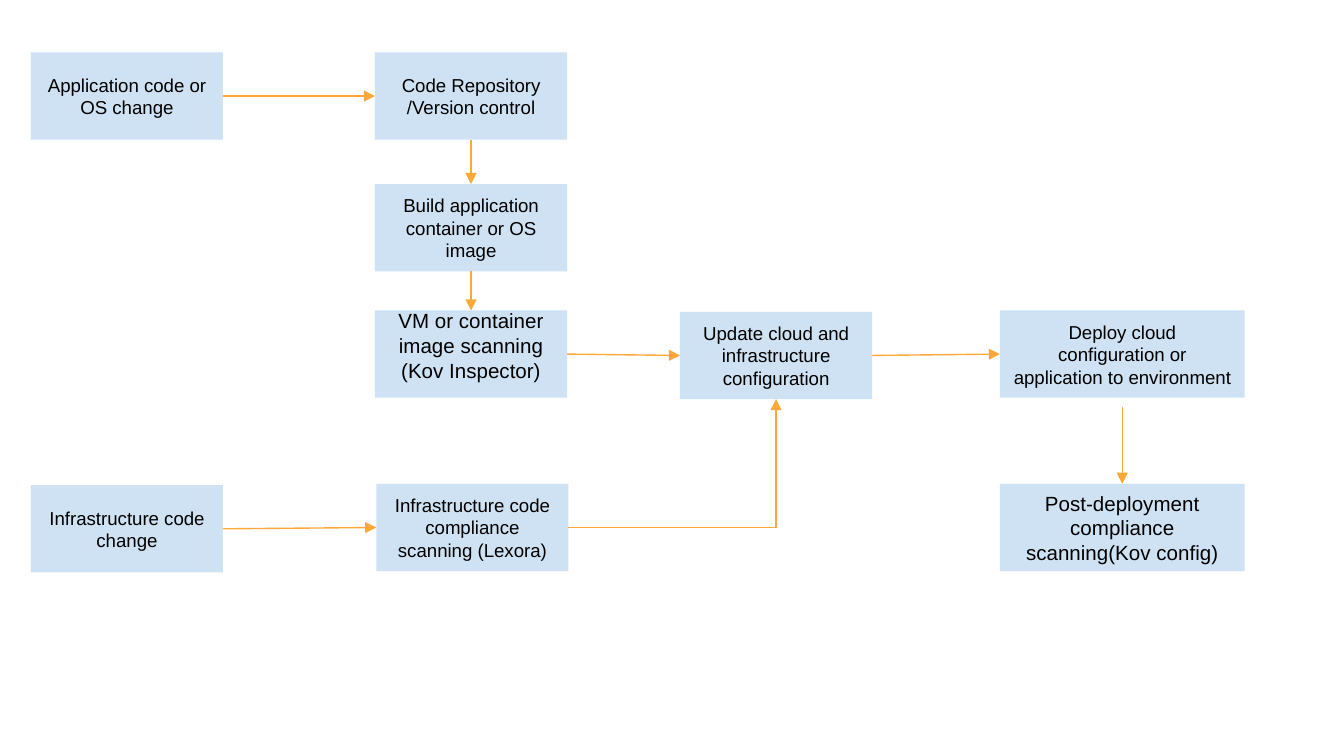
import pptx
import pptx.util
import pptx.dml.color
import pptx.enum.shapes
import pptx.enum.text
import pptx.oxml
import pptx.oxml.ns
from lxml import etree

Inches = pptx.util.Inches
Pt = pptx.util.Pt
CONNECTOR = pptx.enum.shapes.MSO_CONNECTOR


def color(value):
    return pptx.dml.color.RGBColor.from_string(value)


def add_arrow(kind, x1, y1, x2, y2):
    cxn = s.shapes.add_connector(kind, Inches(x1), Inches(y1), Inches(x2), Inches(y2))
    cxn.line.color.rgb = color("FEA83A")
    cxn.line.width = Pt(0.75)
    tail = etree.SubElement(cxn.line._get_or_add_ln(), pptx.oxml.ns.qn("a:tailEnd"))
    tail.set("type", "triangle")
    etree.SubElement(cxn._element.spPr, pptx.oxml.ns.qn("a:effectLst"))
    return cxn


prs = pptx.Presentation()
prs.slide_width = Inches(10)
prs.slide_height = prs.slide_width * 9 // 16
s = prs.slides.add_slide(prs.slide_layouts[6])

steps = [
    ("app", 0.23, 0.39, 1.43, 10, "Application code or OS change"),
    ("repo", 2.79, 0.39, 1.43, 10, "Code Repository /Version control"),
    ("build", 2.79, 1.37, 1.43, 10, "Build application container or OS image"),
    ("scan", 2.79, 2.31, 1.43, 11, "VM or container image scanning\n(Kov Inspector)"),
    ("update", 5.06, 2.32, 1.43, 10, "Update cloud and infrastructure configuration"),
    ("deploy", 7.44, 2.31, 1.82, 10, "Deploy cloud configuration or application to environment"),
    ("infra", 0.23, 3.61, 1.43, 10, "Infrastructure code change"),
    ("comply", 2.8, 3.6, 1.43, 10, "Infrastructure code compliance scanning (Lexora)"),
    ("post", 7.44, 3.6, 1.82, 11, "Post-deployment compliance scanning(Kov config)"),
]
boxes = {}
for name, x, y, w, size, text in steps:
    sp = s.shapes.add_shape(pptx.enum.shapes.MSO_SHAPE.RECTANGLE,
                            Inches(x), Inches(y), Inches(w), Inches(0.65))
    sp.shadow.inherit = False
    sp.fill.solid()
    sp.fill.fore_color.rgb = color("CFE2F3")
    sp.line.fill.background()
    tf = sp.text_frame
    tf.word_wrap = True
    tf.vertical_anchor = pptx.enum.text.MSO_ANCHOR.MIDDLE
    tf.margin_left = tf.margin_right = tf.margin_top = tf.margin_bottom = Inches(0.1)
    tf.text = text
    for p in tf.paragraphs:
        p.alignment = pptx.enum.text.PP_ALIGN.CENTER
        for r in p.runs:
            r.font.name = "Arial"
            r.font.size = Pt(size)
            r.font.color.rgb = color("000000")
    boxes[name] = sp
boxes["scan"].text_frame.margin_bottom = Inches(0.23)

TOP, LEFT, BOTTOM, RIGHT = range(4)
links = [
    ("app", RIGHT, "repo", LEFT),
    ("repo", BOTTOM, "build", TOP),
    ("build", BOTTOM, "scan", TOP),
    ("scan", RIGHT, "update", LEFT),
    ("update", RIGHT, "deploy", LEFT),
    ("infra", RIGHT, "comply", LEFT),
    ("comply", RIGHT, "update", BOTTOM),
]
for start, start_side, end, end_side in links:
    bent = start_side == RIGHT and end_side == BOTTOM
    cxn = add_arrow(CONNECTOR.ELBOW if bent else CONNECTOR.STRAIGHT, 0, 0, 1, 1)
    cxn.begin_connect(boxes[start], start_side)
    cxn.end_connect(boxes[end], end_side)
    if bent:
        cxn._element.spPr.find(pptx.oxml.ns.qn("a:prstGeom")).set("prst", "bentConnector2")

add_arrow(CONNECTOR.STRAIGHT, 8.35, 3.03, 8.35, 3.6)

prs.save("out.pptx")
